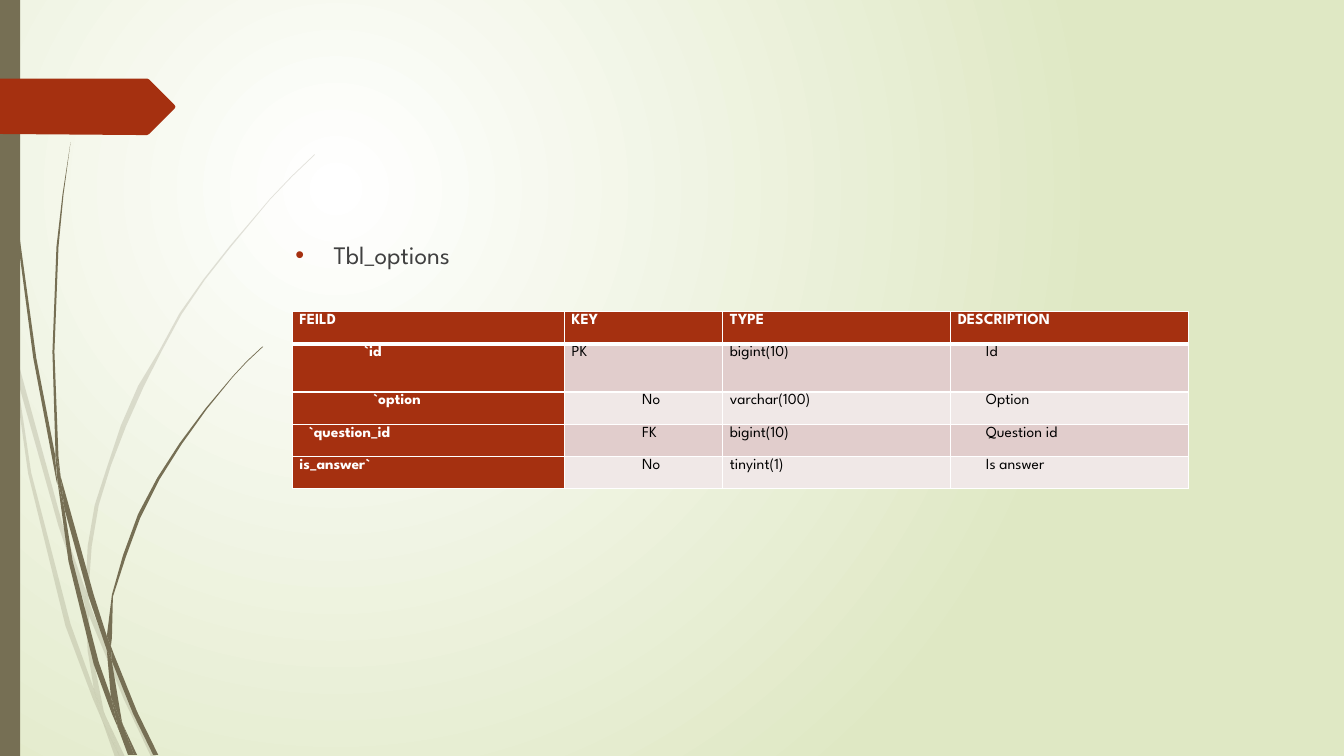
from dataclasses import dataclass

from lxml import etree
from pptx import Presentation
from pptx.dml.color import RGBColor
from pptx.enum.shapes import MSO_SHAPE
from pptx.oxml.ns import qn
from pptx.slide import Slide
from pptx.util import Inches, Pt

RECTANGLE = MSO_SHAPE.RECTANGLE


@dataclass(frozen=True)
class Theme:
    font: str = "League Spartan"
    bullet_size: float = 18
    table_size: float = 11
    white: str = "FFFFFF"
    black: str = "000000"
    meadow: str = "DFE8C4"
    stem: str = "766F54"
    rust: str = "A53010"
    body: str = "404040"
    bands: tuple[str, str] = ("E1CDCC", "F0E8E7")
    faint_alpha: int = 20
    rule: float = 1
    header_rule: float = 3


@dataclass(frozen=True)
class Entry:
    text: str
    indent: float = 0


@dataclass(frozen=True)
class Outline:
    """A closed outline; points are x,y pairs in hundredths of an inch."""
    points: str
    color: str
    alpha: int = 100


THEME = Theme()

# Grass: pale blades behind, dark blades in front
PALE_BLADES = (
    "11,350 9,322 0,282 0,299 10,344",
    "58,522 84,599 85,586 62,520 14,345 17,376",
    "92,607 88,596 88,610 123,694 150,751 155,751 127,692",
    "119,751 124,751 105,711",
    "93,683 70,619 31,469 17,376 11,350 28,470 65,621 92,693 101,714 99,707",
    "84,599 87,646 93,683 96,692 105,711 103,706 91,646 88,610 88,608",
    "88,584 91,542 98,501 110,462 125,423 142,385 160,349 180,312 203,278 229,245 "
    "268,198 290,175 312,154 312,153 289,175 268,197 228,244 202,277 178,311 "
    "158,348 137,383 120,422 107,461 94,501 87,542 85,584 85,586 88,596",
    "101,714 114,751 119,751",
    "88,608 88,610 88,596 85,586 84,599",
    "96,692 93,683 99,707 101,714 119,751 105,711",
)
DARK_BLADES = (
    "7,110 17,233 33,355 56,477 57,481 55,457 55,453 36,355 19,232 8,109 5,48 "
    "4,0 3,0 4,48",
    "88,592 106,645 106,633 106,631 93,590 60,472 64,505",
    "113,649 110,641 111,656 132,708 152,749 157,749 136,706",
    "110,691 98,657 72,556 64,505 57,477 68,557 93,659 111,708 117,722 116,717",
    "60,472 58,453 54,349 58,245 63,193 70,141 62,193 56,245 52,349 55,449",
    "133,749 136,749 122,719",
    "57,477 64,505 60,472 55,449 55,453",
    "111,633 112,592 125,552 139,514 158,476 180,441 205,406 231,374 245,359 261,344 "
    "260,344 245,358 231,373 204,405 178,440 156,474 137,510 122,551 111,590 "
    "106,631 110,641",
    "117,722 127,749 131,749",
    "106,645 110,691 116,706 122,719 121,716 111,656 109,651",
    "106,645 109,651 111,656 110,641 106,631 106,633",
    "116,706 110,691 116,717 117,722 130,749 133,749 122,719",
)
ARROW_TAG = "173,108 148,133 146,134 136,134 0,133 0,78 136,78 146,78 148,79 173,104 174,106"

# Table content
HEADERS = ("FEILD", "KEY", "TYPE", "DESCRIPTION")
COLUMN_WIDTHS = (2.7, 1.57, 2.26, 2.36)
ROW_HEIGHTS = (0.32, 0.48, 0.32, 0.32, 0.32)
KEY_INDENT, DESCRIPTION_INDENT = 0.7, 0.28
FIELDS = (
    (Entry("`id", 0.64), Entry("PK"), "bigint(10)", "Id"),
    (Entry("`option", 0.73), Entry("No", KEY_INDENT), "varchar(100)", "Option"),
    (Entry("`question_id", 0.09), Entry("FK", KEY_INDENT), "bigint(10)", "Question id"),
    (Entry("is_answer`"), Entry("No", KEY_INDENT), "tinyint(1)", "Is answer"),
)


def rgb(color: str) -> RGBColor:
    return RGBColor.from_string(color)


def style_font(paragraph, size: float, color: str, bold: bool = False) -> None:
    font = paragraph.font
    font.name, font.size, font.bold = THEME.font, Pt(size), bold
    font.color.rgb = rgb(color)


def paint_shape(shape, color: str, alpha: int = 100) -> None:
    shape.shadow.inherit = False
    shape.line.fill.background()
    shape.fill.solid()
    shape.fill.fore_color.rgb = rgb(color)
    if alpha < 100:
        tint = shape.fill._xPr.find(".//" + qn("a:srgbClr"))
        etree.SubElement(tint, qn("a:alpha"), val=str(alpha * 1000))


def draw_outline(slide: Slide, outline: Outline) -> None:
    points = [tuple(map(int, pair.split(","))) for pair in outline.points.split()]
    builder = slide.shapes.build_freeform(*points[0], scale=Inches(0.01))
    builder.add_line_segments(points[1:], close=True)
    paint_shape(builder.convert_to_shape(), outline.color, outline.alpha)


def draw_background(slide: Slide) -> None:
    fill = slide.background.fill
    fill.gradient()
    for stop, color in zip(fill.gradient_stops, (THEME.white, THEME.meadow)):
        stop.color.rgb = rgb(color)
    gradient = slide.element.find(".//" + qn("a:gradFill"))
    linear = gradient.find(qn("a:lin"))
    radial = etree.Element(qn("a:path"), path="circle")
    etree.SubElement(radial, qn("a:fillToRect"), l="50000", t="50000", r="100000", b="100000")
    gradient.replace(linear, radial)


def draw_bullet(slide: Slide, text: str) -> None:
    box = slide.shapes.add_textbox(Inches(2.83), Inches(2.33), Inches(9.75), Inches(4.13))
    box.text_frame.word_wrap = True
    paragraph = box.text_frame.paragraphs[0]
    paragraph.text = text
    paragraph.space_before = Pt(10)
    style_font(paragraph, THEME.bullet_size, THEME.body)
    properties = paragraph._p.get_or_add_pPr()
    properties.set("marL", str(Inches(0.38)))
    properties.set("indent", str(-Inches(0.38)))
    bullet_color = etree.Element(qn("a:buClr"))
    etree.SubElement(bullet_color, qn("a:srgbClr"), val=THEME.rust)
    bullet_font = etree.Element(qn("a:buFont"), typeface="Arial")
    bullet = etree.Element(qn("a:buChar"), char="•")
    properties.find(qn("a:spcBef")).addnext(bullet_color)
    bullet_color.addnext(bullet_font)
    bullet_font.addnext(bullet)


def set_borders(cell, top: float, bottom: float) -> None:
    properties = cell._tc.get_or_add_tcPr()
    widths = {"lnL": THEME.rule, "lnR": THEME.rule, "lnT": top, "lnB": bottom}
    for position, (side, width) in enumerate(widths.items()):
        line = etree.Element(qn(f"a:{side}"), w=str(Pt(width)))
        solid = etree.SubElement(line, qn("a:solidFill"))
        etree.SubElement(solid, qn("a:srgbClr"), val=THEME.white)
        properties.insert(position, line)


def fill_cell(cell, entry: Entry, fill: str, strong: bool) -> None:
    cell.margin_left = cell.margin_right = Inches(0.07)
    cell.margin_top = cell.margin_bottom = 0
    cell.fill.solid()
    cell.fill.fore_color.rgb = rgb(fill)
    paragraph = cell.text_frame.paragraphs[0]
    paragraph.text = entry.text
    paragraph.line_spacing = 1.15
    paragraph._p.get_or_add_pPr().set("marL", str(Inches(entry.indent)))
    style_font(paragraph, THEME.table_size, THEME.white if strong else THEME.black, strong)


def draw_table(slide: Slide) -> None:
    rows = [tuple(Entry(header) for header in HEADERS)]
    rows += [(field, key, Entry(kind), Entry(description, DESCRIPTION_INDENT))
             for field, key, kind, description in FIELDS]
    table = slide.shapes.add_table(
        len(rows), len(HEADERS), Inches(2.9), Inches(3.09),
        Inches(sum(COLUMN_WIDTHS)), Inches(sum(ROW_HEIGHTS))).table
    for column, width in zip(table.columns, COLUMN_WIDTHS):
        column.width = Inches(width)
    for r, (entries, height) in enumerate(zip(rows, ROW_HEIGHTS)):
        table.rows[r].height = Inches(height)
        for c, entry in enumerate(entries):
            strong = r == 0 or c == 0
            cell = table.cell(r, c)
            fill_cell(cell, entry, THEME.rust if strong else THEME.bands[(r - 1) % 2], strong)
            set_borders(cell, THEME.header_rule if r == 1 else THEME.rule,
                        THEME.header_rule if r == 0 else THEME.rule)


def main() -> None:
    deck = Presentation()
    deck.slide_width, deck.slide_height = Inches(13.33), Inches(7.5)
    slide = deck.slides.add_slide(deck.slide_layouts[6])
    draw_background(slide)

    # Grass, side strip and arrow tag
    for blade in PALE_BLADES:
        draw_outline(slide, Outline(blade, THEME.stem, THEME.faint_alpha))
    for blade in DARK_BLADES:
        draw_outline(slide, Outline(blade, THEME.stem))
    side_strip = slide.shapes.add_shape(RECTANGLE, 0, 0, Inches(0.2), Inches(7.5))
    paint_shape(side_strip, THEME.stem)
    draw_outline(slide, Outline(ARROW_TAG, THEME.rust))

    # Content
    draw_bullet(slide, "Tbl_options")
    draw_table(slide)
    deck.save("out.pptx")


if __name__ == "__main__":
    main()
